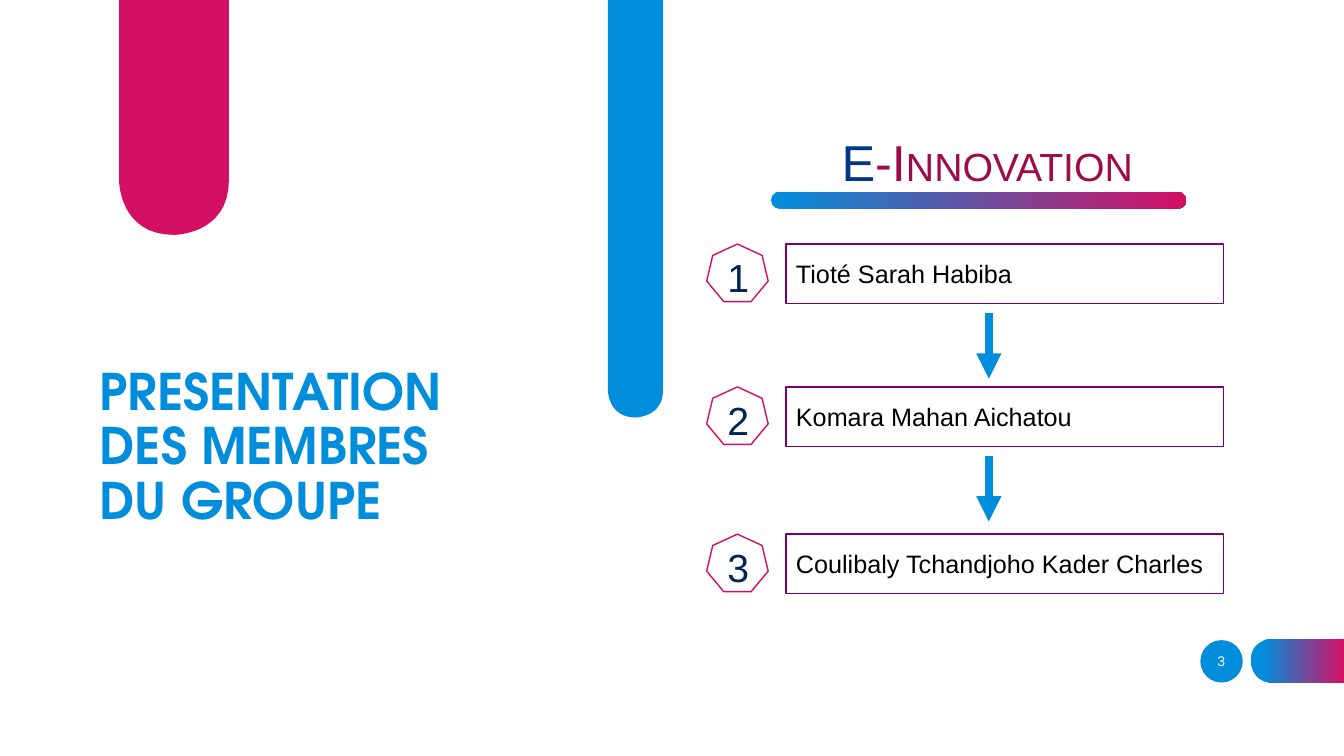
from dataclasses import dataclass

import lxml.etree
import pptx
import pptx.dml.color
import pptx.enum.shapes
import pptx.enum.text
import pptx.oxml.ns
import pptx.util
from pptx.util import Cm, Pt

SHAPES = pptx.enum.shapes.MSO_SHAPE
ANCHORS = pptx.enum.text.MSO_ANCHOR
ALIGNMENTS = pptx.enum.text.PP_ALIGN


@dataclass(frozen=True)
class Theme:
    blue: str = "008EDC"
    pink: str = "D30F64"
    purple: str = "7A0078"
    navy: str = "00245A"
    heading_blue: str = "003686"
    heading_red: str = "9E0B4B"
    white: str = "FFFFFF"
    black: str = "000000"
    body_font: str = "Arial"
    title_font: str = "TeX Gyre Adventor"
    title_size: int = 36
    number_size: int = 28
    body_size: int = 18
    page_size: int = 10


THEME = Theme()
MEMBERS = [
    ("Tioté Sarah Habiba", 6.15),
    ("Komara Mahan Aichatou", 9.75),
    ("Coulibaly Tchandjoho Kader Charles", 13.46),
]
BOX_HEIGHT = 1.5


def rgb(color):
    return pptx.dml.color.RGBColor.from_string(color)


def fill_solid(fill, color):
    fill.solid()
    fill.fore_color.rgb = rgb(color)


def fill_gradient(fill, start=0):
    """Blue to pink from left to right; blue stays plain up to start."""
    fill.gradient()
    fill.gradient_angle = 0
    for stop, color, position in zip(fill.gradient_stops, (THEME.blue, THEME.pink), (start, 1)):
        stop.color.rgb = rgb(color)
        stop.position = position


def style_run(run, size, color, font=THEME.body_font):
    run.font.name = font
    run.font.size = Pt(size)
    run.font.color.rgb = rgb(color)


def add_shape(slide, kind, left, top, width, height, fill=THEME.white, line=None):
    shape = slide.shapes.add_shape(kind, Cm(left), Cm(top), Cm(width), Cm(height))
    shape.shadow.inherit = False
    fill_solid(shape.fill, fill)
    if line:
        shape.line.color.rgb = rgb(line)
        shape.line.width = Pt(1)
    else:
        shape.line.fill.background()
    return shape


def add_text(slide, left, top, width, height, pieces, anchor=ANCHORS.TOP, wrap=False):
    """Add one paragraph made of (text, size, color) pieces."""
    box = slide.shapes.add_textbox(Cm(left), Cm(top), Cm(width), Cm(height))
    box.text_frame.word_wrap = wrap
    box.text_frame.vertical_anchor = anchor
    paragraph = box.text_frame.paragraphs[0]
    for text, size, color in pieces:
        run = paragraph.add_run()
        run.text = text
        style_run(run, size, color)
    return paragraph


def round_corner(start, corner, end, steps=16):
    """Points of a cubic curve whose first handle lies on its start."""
    points = []
    for step in range(steps + 1):
        t = step / steps
        weights = ((1 - t) ** 3 + 3 * t * (1 - t) ** 2, 3 * t * t * (1 - t), t ** 3)
        points.append(tuple(
            sum(weight * value for weight, value in zip(weights, values))
            for values in zip(start, corner, end)
        ))
    return points


def add_outline(slide, points):
    points = [(Cm(x), Cm(y)) for x, y in points]
    builder = slide.shapes.build_freeform(*points[0])
    builder.add_line_segments(points[1:], close=True)
    shape = builder.convert_to_shape()
    shape.shadow.inherit = False
    shape.line.fill.background()
    return shape


def add_hanging_tab(slide, left, right, bottom, color):
    """Bar from the top edge of the slide with a rounded lower end."""
    middle = (left + right) / 2
    shoulder = bottom - (right - left) / 2
    points = [(left, 0)]
    points += round_corner((left, shoulder), (left, bottom), (middle, bottom))
    points += round_corner((middle, bottom), (right, bottom), (right, shoulder))
    points.append((right, 0))
    fill_solid(add_outline(slide, points).fill, color)


def add_page_tab(slide, left, top, right, bottom):
    """Gradient bar at the right edge with a rounded left end."""
    middle = (top + bottom) / 2
    shoulder = left + (bottom - top) / 2
    points = [(right, top)]
    points += round_corner((shoulder, top), (left, top), (left, middle))
    points += round_corner((left, middle), (left, bottom), (shoulder, bottom))
    points.append((right, bottom))
    fill_gradient(add_outline(slide, points).fill, start=0.12)


def add_title(slide, text):
    paragraph = add_text(slide, 2.26, 10.36, 29.21, 1.88, [], ANCHORS.MIDDLE, wrap=True)
    paragraph.text = text
    paragraph.line_spacing = 0.9
    for run in paragraph.runs:
        style_run(run, THEME.title_size, THEME.blue, THEME.title_font)
        run.font.bold = True
        fill_gradient(run.font.fill)


def add_heading(slide):
    add_text(slide, 20.96, 3.18, 7.92, 1.8, [
        ("E", THEME.title_size, THEME.heading_blue),
        ("-I", THEME.title_size, THEME.heading_red),
        ("NNOVATION", THEME.number_size, THEME.heading_red),
    ])
    underline = add_shape(slide, SHAPES.ROUNDED_RECTANGLE, 19.43, 4.83, 10.46, 0.43)
    underline.adjustments[0] = 0.5
    fill_gradient(underline.fill)


def add_member(slide, number, name, top):
    box = add_shape(slide, SHAPES.RECTANGLE, 19.81, top, 11.02, BOX_HEIGHT, line=THEME.purple)
    box.text_frame.word_wrap = True
    box.text_frame.vertical_anchor = ANCHORS.MIDDLE
    paragraph = box.text_frame.paragraphs[0]
    paragraph.text = name
    paragraph.alignment = ALIGNMENTS.LEFT
    style_run(paragraph.runs[0], THEME.body_size, THEME.black)
    add_shape(slide, SHAPES.HEPTAGON, 17.81, top, 1.55, 1.45, line=THEME.pink)
    add_text(slide, 18.08, top + 0.1, 1.07, 1.45, [(str(number), THEME.number_size, THEME.navy)])


def add_arrow(slide, x, top, length):
    arrow = slide.shapes.add_connector(
        pptx.enum.shapes.MSO_CONNECTOR.STRAIGHT, Cm(x), Cm(top), Cm(x), Cm(top + length))
    arrow.line.color.rgb = rgb(THEME.blue)
    arrow.line.width = Pt(6)
    qn = pptx.oxml.ns.qn
    properties = arrow.element.spPr
    lxml.etree.SubElement(properties.find(qn("a:ln")), qn("a:tailEnd"), type="triangle")
    lxml.etree.SubElement(properties, qn("a:effectLst"))


def add_page_number(slide, number):
    add_shape(slide, SHAPES.OVAL, 30.25, 16.13, 1.07, 1.07, fill=THEME.blue)
    paragraph = add_text(slide, 30.02, 16.15, 1.52, 1.02,
                         [(number, THEME.page_size, THEME.white)], ANCHORS.MIDDLE, wrap=True)
    paragraph.alignment = ALIGNMENTS.CENTER


def main():
    presentation = pptx.Presentation()
    presentation.slide_width = Cm(33.87)
    presentation.slide_height = Cm(19.05)
    slide = presentation.slides.add_slide(presentation.slide_layouts[6])

    add_hanging_tab(slide, 3, 5.77, 5.92, THEME.pink)
    add_hanging_tab(slide, 15.32, 16.71, 10.52, THEME.blue)
    add_page_tab(slide, 31.52, 16.1, 33.87, 17.2)
    add_page_number(slide, "3")
    add_title(slide, "PRESENTATION\nDES MEMBRES\nDU GROUPE")
    add_heading(slide)
    for number, (name, top) in enumerate(MEMBERS, start=1):
        add_member(slide, number, name, top)
        if number < len(MEMBERS):
            add_arrow(slide, 24.92, top + BOX_HEIGHT + 0.24, 1.65)

    presentation.save("out.pptx")


if __name__ == "__main__":
    main()
